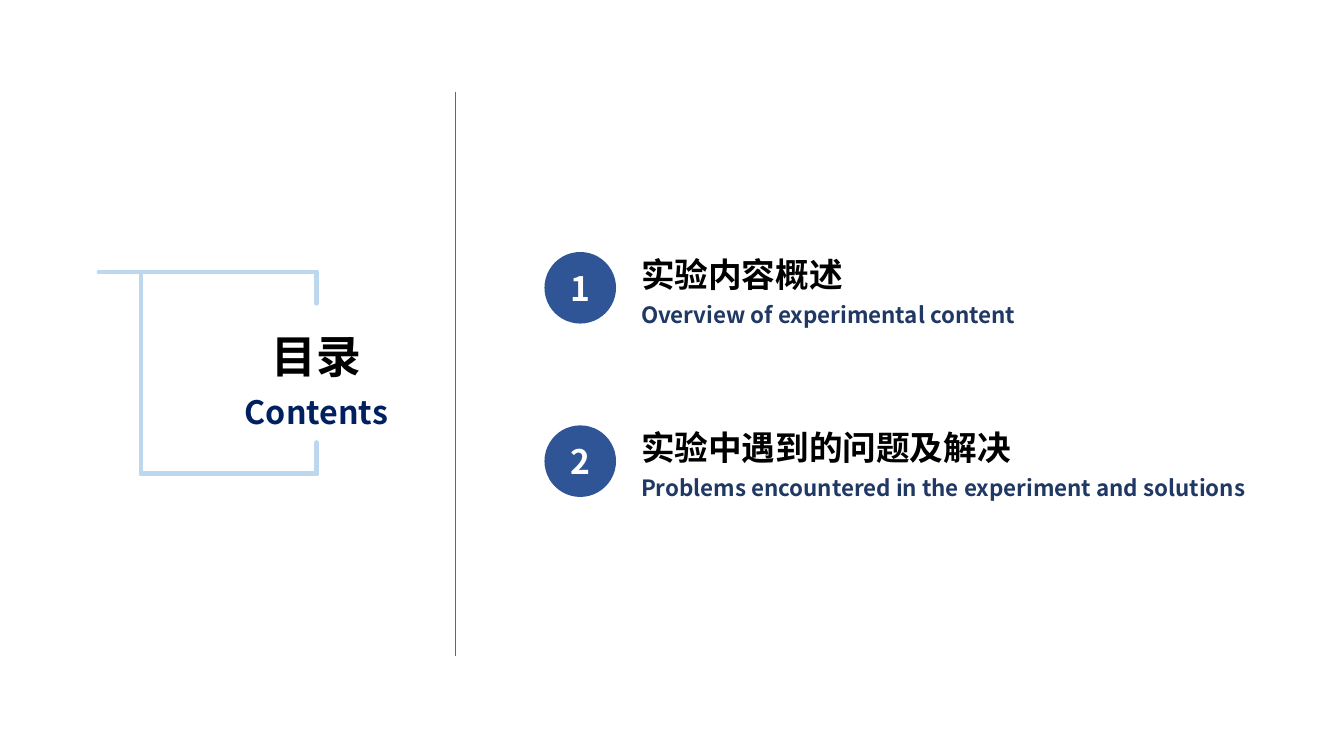
from lxml.etree import SubElement
from pptx import Presentation
from pptx.dml.color import RGBColor
from pptx.enum.shapes import MSO_CONNECTOR, MSO_SHAPE
from pptx.enum.text import MSO_ANCHOR, MSO_AUTO_SIZE, PP_ALIGN
from pptx.oxml.ns import qn
from pptx.util import Emu, Pt

FONT = "Noto Sans CJK SC"
BLACK, WHITE, NAVY, INK = "000000", "FFFFFF", "002060", "203864"
BLUE, PALE, GREY = "2F5597", "BDD7EE", "666666"


def px(n):
    """Turn hundredths of an inch into EMU."""
    return Emu(n * 9144)


def color(hex_string):
    """Turn a hex string into a colour."""
    return RGBColor.from_string(hex_string)


class ContentsSlide:
    """Hold the style and the current slide."""

    def __init__(self, prs):
        """Add a title-only slide."""
        self.s = prs.slides.add_slide(prs.slide_layouts[5])

    def set_lines(self, sp, lines, align, spacing=1.0, anchor=MSO_ANCHOR.TOP):
        """Fill a shape with lines of (text, size, colour)."""
        tf = sp.text_frame
        tf.word_wrap = True
        tf.vertical_anchor = anchor
        tf.text = "\n".join(text for text, _, _ in lines)
        for p, (_, size, hex_string) in zip(tf.paragraphs, lines):
            p.alignment = align
            p.line_spacing = spacing
            p.space_before = Pt(0)
            font = p.runs[0].font
            font.name, font.size, font.bold = FONT, Pt(size), True
            font.color.rgb = color(hex_string)
            SubElement(font._element, qn("a:ea")).set("typeface", FONT)

    def title(self, x, y, w, h, lines):
        """Place and fill the title placeholder."""
        sp = self.s.shapes.title
        sp.left, sp.top, sp.width, sp.height = map(px, (x, y, w, h))
        self.set_lines(sp, lines, PP_ALIGN.CENTER, 1.25)
        sp.text_frame.auto_size = MSO_AUTO_SIZE.NONE

    def line(self, x1, y1, x2, y2, hex_string, width):
        """Draw a straight line."""
        ln = self.s.shapes.add_connector(
            MSO_CONNECTOR.STRAIGHT, px(x1), px(y1), px(x2), px(y2))
        ln.line.color.rgb = color(hex_string)
        ln.line.width = Pt(width)
        SubElement(ln._element.spPr, qn("a:effectLst"))
        if width > 1:
            ln.line._ln.set("cap", "rnd")

    def badge(self, x, y, d, number):
        """Draw a numbered circle."""
        sp = self.s.shapes.add_shape(MSO_SHAPE.OVAL, px(x), px(y), px(d), px(d))
        sp.shadow.inherit = False
        sp.fill.solid()
        sp.fill.fore_color.rgb = color(BLUE)
        sp.line.fill.background()
        self.set_lines(sp, [(str(number), 24, WHITE)], PP_ALIGN.CENTER,
                       anchor=MSO_ANCHOR.MIDDLE)

    def text(self, x, y, w, h, lines):
        """Add a left-aligned text box."""
        sp = self.s.shapes.add_textbox(px(x), px(y), px(w), px(h))
        self.set_lines(sp, lines, PP_ALIGN.LEFT, 1.25)
        sp.text_frame.auto_size = MSO_AUTO_SIZE.SHAPE_TO_FIT_TEXT


def main():
    """Build the contents slide."""
    prs = Presentation()
    prs.slide_width, prs.slide_height = px(1333), px(750)
    slide = ContentsSlide(prs)

    slide.title(206, 308, 216, 128,
                [("目录", 32, BLACK), ("Contents", 23, NAVY)])
    slide.line(452, 91, 452, 651, GREY, 0.5)

    left, right, top, bottom, stub = 140, 314, 270, 470, 31
    for ends in ((98, top, right, top),
                 (left, bottom, right, bottom),
                 (left, top, left, bottom),
                 (right, top, right, top + stub),
                 (right, bottom - stub, right, bottom)):
        slide.line(*ends, PALE, 3.25)

    entries = [
        ("实验内容概述", "Overview of experimental content", 568),
        ("实验中遇到的问题及解决",
         "Problems encountered in the experiment and solutions", 646),
    ]
    for i, (heading, english, width) in enumerate(entries):
        y = 250 + 172 * i
        slide.badge(540, y, 71, i + 1)
        slide.text(626, y - 13, width, 91,
                   [(heading, 24, BLACK), (english, 16, INK)])

    prs.save("out.pptx")


if __name__ == "__main__":
    main()
